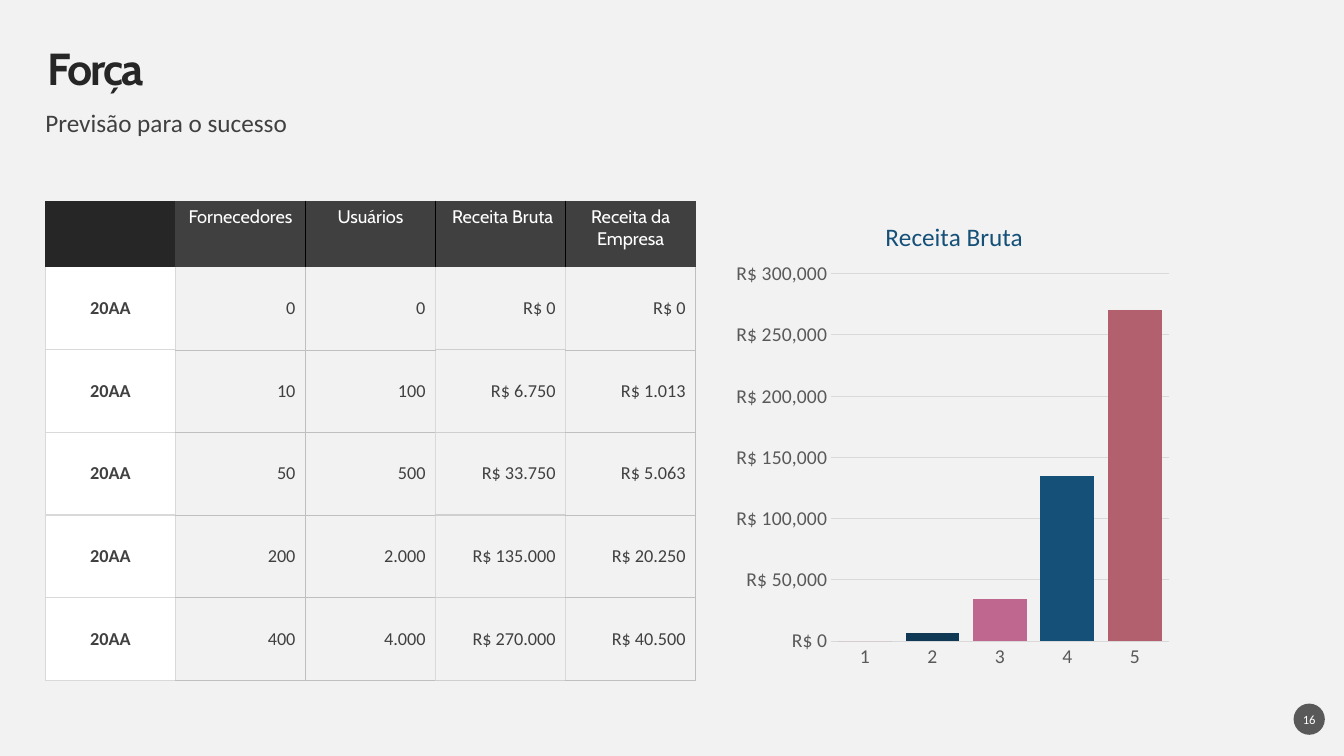
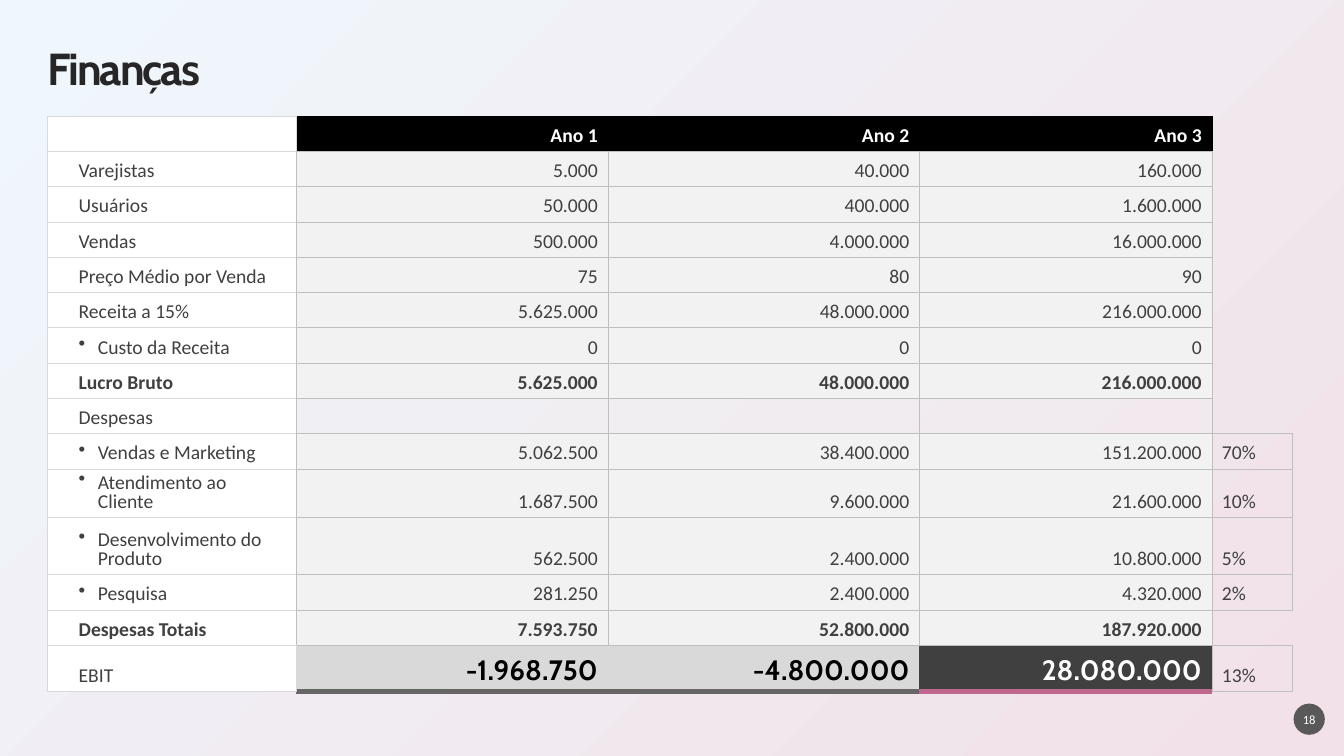
from dataclasses import dataclass, field
from typing import NamedTuple

from lxml.etree import SubElement
from pptx import Presentation
from pptx.chart.data import CategoryChartData
from pptx.dml.color import RGBColor
from pptx.enum.chart import XL_CHART_TYPE, XL_TICK_MARK
from pptx.enum.shapes import MSO_SHAPE
from pptx.enum.text import MSO_ANCHOR, MSO_AUTO_SIZE, PP_ALIGN
from pptx.oxml import parse_xml
from pptx.oxml.ns import nsdecls, qn
from pptx.util import Inches, Pt

COLORS = {
    "white": "FFFFFF", "black": "000000", "paper": "F2F2F2", "ink": "262626",
    "text": "404040", "badge": "595959", "rule": "BFBFBF", "light": "D9D9D9",
    "warm": "D0CECE", "total": "666666", "pink": "BF678E", "blue": "155078",
    "navy": "0F3955", "rose": "B2606E", "sky": "EFF7FC", "blush": "F2E1E8",
}
HEADING_FONT = "Cabin"
BODY_FONT = "Calibri"
NO_TABLE_STYLE = "{2D5ABB26-0587-4C30-8999-92F81FD0307C}"


class Border(NamedTuple):
    color: str
    width: float


class FinanceRow(NamedTuple):
    label: str
    values: tuple[str, ...]
    share: str = ""
    bullet: bool = False
    bold: bool = False


@dataclass
class Cell:
    text: str = ""
    fill: str | None = None
    opacity: int = 100
    color: str = "text"
    font: str = BODY_FONT
    size: int = 14
    bold: bool = False
    align: PP_ALIGN = PP_ALIGN.LEFT
    anchor: MSO_ANCHOR = MSO_ANCHOR.BOTTOM
    spacing: float = 0.8
    margin_left: float = 0.1
    bullet: bool = False
    borders: dict[str, Border] = field(default_factory=dict)


FORECAST = [
    ("20AA", "0", "0", "R$ 0", "R$ 0"),
    ("20AA", "10", "100", "R$ 6.750", "R$ 1.013"),
    ("20AA", "50", "500", "R$ 33.750", "R$ 5.063"),
    ("20AA", "200", "2.000", "R$ 135.000", "R$ 20.250"),
    ("20AA", "400", "4.000", "R$ 270.000", "R$ 40.500"),
]
FORECAST_HEADER = ("", "Fornecedores", "Usuários", " Receita Bruta", "Receita da Empresa")
FINANCES = [
    FinanceRow("Varejistas", ("5.000", "40.000", "160.000")),
    FinanceRow("Usuários", ("50.000", "400.000", "1.600.000")),
    FinanceRow("Vendas", ("500.000", "4.000.000", "16.000.000")),
    FinanceRow("Preço Médio por Venda", ("75", "80", "90")),
    FinanceRow("Receita a 15%", ("5.625.000", "48.000.000", "216.000.000")),
    FinanceRow("Custo da Receita", ("0", "0", "0"), bullet=True),
    FinanceRow("Lucro Bruto", ("5.625.000", "48.000.000", "216.000.000"), bold=True),
    FinanceRow("Despesas", ("", "", "")),
    FinanceRow("Vendas e Marketing", ("5.062.500", "38.400.000", "151.200.000"), "70%", True),
    FinanceRow("Atendimento ao Cliente", ("1.687.500", "9.600.000", "21.600.000"), "10%", True),
    FinanceRow("Desenvolvimento do Produto", ("562.500", "2.400.000", "10.800.000"), "5%", True),
    FinanceRow("Pesquisa", ("281.250", "2.400.000", "4.320.000"), "2%", True),
    FinanceRow("Despesas Totais", ("7.593.750", "52.800.000", "187.920.000"), bold=True),
]
EBIT = FinanceRow("EBIT", ("-1.968.750", "-4.800.000", "28.080.000"), "13%")


def rgb(name: str) -> RGBColor:
    return RGBColor.from_string(COLORS[name])


def set_font(font, name: str, size: float, color: str, bold: bool = False) -> None:
    font.name = name
    font.size = Pt(size)
    font.bold = bold
    font.color.rgb = rgb(color)


def clear_margins(frame) -> None:
    frame.margin_left = frame.margin_right = frame.margin_top = frame.margin_bottom = 0


def sides(left=None, right=None, top=None, bottom=None) -> dict[str, Border]:
    named = {"L": left, "R": right, "T": top, "B": bottom}
    return {side: border for side, border in named.items() if border}


def box(border: Border) -> dict[str, Border]:
    return sides(border, border, border, border)


def add_slide(presentation, title: str, number: int):
    slide = presentation.slides.add_slide(presentation.slide_layouts[5])
    shape = slide.shapes.title
    shape.left, shape.top = Inches(0.47), Inches(0.47)
    shape.width, shape.height = Inches(12.39), Inches(0.47)
    frame = shape.text_frame
    frame.text = title
    frame.auto_size = MSO_AUTO_SIZE.NONE
    frame.vertical_anchor = MSO_ANCHOR.MIDDLE
    clear_margins(frame)
    paragraph = frame.paragraphs[0]
    paragraph.alignment = PP_ALIGN.LEFT
    paragraph.line_spacing = 0.9
    set_font(paragraph.font, HEADING_FONT, 32, "ink", True)
    paragraph._p.pPr.find(qn("a:defRPr")).set("spc", "-150")
    add_badge(slide, number)
    return slide


def add_badge(slide, number: int) -> None:
    badge = slide.shapes.add_shape(
        MSO_SHAPE.OVAL, Inches(12.83), Inches(6.98), Inches(0.31), Inches(0.31))
    badge.shadow.inherit = False
    badge.fill.solid()
    badge.fill.fore_color.rgb = rgb("badge")
    badge.line.fill.background()
    frame = badge.text_frame
    frame.text = str(number)
    frame.word_wrap = False
    frame.vertical_anchor = MSO_ANCHOR.MIDDLE
    clear_margins(frame)
    frame.paragraphs[0].alignment = PP_ALIGN.CENTER
    set_font(frame.paragraphs[0].font, BODY_FONT, 9, "white")


def add_subtitle(slide, text: str) -> None:
    frame = slide.shapes.add_textbox(
        Inches(0.45), Inches(1.1), Inches(11.09), Inches(0.28)).text_frame
    frame.text = text
    frame.word_wrap = True
    clear_margins(frame)
    frame.paragraphs[0].line_spacing = 0.9
    set_font(frame.paragraphs[0].font, BODY_FONT, 18, "text")


def draw_borders(cell, borders: dict[str, Border]) -> None:
    properties = cell._tc.get_or_add_tcPr()
    for position, side in enumerate("LRTB"):
        border = borders.get(side)
        width = Pt(border.width) if border else 0
        paint = (f'<a:solidFill><a:srgbClr val="{COLORS[border.color]}"/></a:solidFill>'
                 if border else "<a:noFill/>")
        line = parse_xml(f'<a:ln{side} {nsdecls("a")} w="{width}">{paint}</a:ln{side}>')
        properties.insert(position, line)


def draw_cell(cell, content: Cell) -> None:
    cell.vertical_anchor = content.anchor
    cell.margin_left = Inches(content.margin_left)
    if content.fill:
        cell.fill.solid()
        cell.fill.fore_color.rgb = rgb(content.fill)
        if content.opacity < 100:
            color = cell._tc.tcPr.find(".//" + qn("a:srgbClr"))
            SubElement(color, qn("a:alpha")).set("val", str(content.opacity * 1000))
    else:
        cell.fill.background()
    draw_borders(cell, content.borders)
    cell.text = content.text
    paragraph = cell.text_frame.paragraphs[0]
    paragraph.alignment = content.align
    paragraph.line_spacing = content.spacing
    set_font(paragraph.font, content.font, content.size, content.color, content.bold)
    if not content.text:
        SubElement(paragraph._p, qn("a:endParaRPr")).set("sz", str(content.size * 100))
    if content.bullet:
        properties = paragraph._p.pPr
        properties.set("marL", str(Inches(0.19)))
        properties.set("indent", str(Inches(-0.19)))
        bullet = parse_xml(f'<a:buChar {nsdecls("a")} char="•"/>')
        properties.find(qn("a:defRPr")).addprevious(bullet)


def add_table(slide, left: float, top: float, widths: list[float],
              heights: list[float], rows: list[list[Cell]]) -> None:
    table = slide.shapes.add_table(
        len(heights), len(widths), Inches(left), Inches(top),
        Inches(sum(widths)), Inches(sum(heights))).table
    table.first_row = table.horz_banding = False
    table._tbl.tblPr.find(qn("a:tableStyleId")).text = NO_TABLE_STYLE
    for column, width in zip(table.columns, widths):
        column.width = Inches(width)
    for row, height in zip(table.rows, heights):
        row.height = Inches(height)
    for row_index, row in enumerate(rows):
        for column_index, content in enumerate(row):
            draw_cell(table.cell(row_index, column_index), content)


def forecast_rows() -> list[list[Cell]]:
    thin, light = Border("rule", 0.25), Border("light", 1)
    warm, black = Border("warm", 1), Border("black", 1)
    last = len(FORECAST_HEADER) - 1
    header = [
        Cell(text, "text" if column else "ink", color="white", font=HEADING_FONT, size=13,
             align=PP_ALIGN.CENTER, anchor=MSO_ANCHOR.TOP, spacing=1.0,
             borders=sides(left=black if column > 1 else None,
                           right=black if 0 < column < last else None))
        for column, text in enumerate(FORECAST_HEADER)]
    column_borders = [box(light), sides(light, thin, thin, thin), sides(thin, light, thin, thin),
                      sides(light, light, warm, warm), sides(light, thin, thin, thin)]
    fills = ["white", None, None, "paper", None]
    rows = [header]
    for index, values in enumerate(FORECAST):
        rows.append([
            Cell(text, fills[column], size=13, bold=column == 0,
                 align=PP_ALIGN.RIGHT if column else PP_ALIGN.CENTER,
                 anchor=MSO_ANCHOR.MIDDLE, spacing=1.0,
                 borders={side: border for side, border in column_borders[column].items()
                          if index or side != "T"})
            for column, text in enumerate(values)])
    return rows


def finance_rows() -> list[list[Cell]]:
    thin, light, black = (Border(name, 0.25) for name in ("rule", "light", "black"))
    rows = [[Cell(fill="white", borders=box(light))]
            + [Cell(f"Ano {year}", "black", color="white", bold=True, align=PP_ALIGN.RIGHT,
                    borders=sides(light if year == 1 else black, black, black, thin))
               for year in (1, 2, 3)]
            + [Cell(borders=sides(left=black))]]
    for row in [*FINANCES, EBIT]:
        label = Cell(row.label, "white", bold=row.bold, margin_left=0.31, bullet=row.bullet,
                     borders=sides(light, light if row is EBIT else thin, light, light))
        if row is EBIT:
            values = [
                Cell(text, "text" if column == 2 else "light", font=HEADING_FONT, size=20,
                     color="white" if column == 2 else "black", bold=True,
                     align=PP_ALIGN.RIGHT,
                     borders=sides(light if column == 0 else None,
                                   thin if column == 2 else None, thin,
                                   Border("pink" if column == 2 else "total", 4.5)))
                for column, text in enumerate(row.values)]
        else:
            values = [Cell(text, "paper", 100 if text else 36, bold=row.bold,
                           align=PP_ALIGN.RIGHT, borders=box(thin)) for text in row.values]
        share = Cell(row.share, borders=box(thin) if row.share else sides(left=thin))
        rows.append([label, *values, share])
    return rows


def place(parent, position: int, **fractions: float) -> None:
    layout = parent.find(qn("c:layout"))
    if layout is not None:
        parent.remove(layout)
    modes = '<c:xMode val="edge"/><c:yMode val="edge"/>'
    target = '<c:layoutTarget val="inner"/>' if "w" in fractions else ""
    values = "".join(f'<c:{name} val="{value}"/>' for name, value in fractions.items())
    parent.insert(position, parse_xml(
        f'<c:layout {nsdecls("c")}><c:manualLayout>{target}{modes}{values}'
        "</c:manualLayout></c:layout>"))


def add_revenue_chart(slide) -> None:
    data = CategoryChartData()
    data.categories = ["1", "2", "3", "4", "5"]
    data.add_series("Series 1", (0, 7000, 34000, 135000, 270000))
    chart = slide.shapes.add_chart(
        XL_CHART_TYPE.COLUMN_CLUSTERED, Inches(7.22), Inches(1.89),
        Inches(4.46), Inches(4.86), data).chart
    chart.has_legend = False
    set_font(chart.font, BODY_FONT, 10, "black")
    chart.has_title = True
    chart.chart_title.text_frame.text = "Receita Bruta"
    set_font(chart.chart_title.text_frame.paragraphs[0].font, BODY_FONT, 18, "blue")
    for axis in (chart.category_axis, chart.value_axis):
        axis.major_tick_mark = axis.minor_tick_mark = XL_TICK_MARK.NONE
        set_font(axis.tick_labels.font, BODY_FONT, 14, "badge")
    value_axis = chart.value_axis
    value_axis.minimum_scale, value_axis.maximum_scale = 0, 300000
    value_axis.major_unit = 50000
    value_axis.tick_labels.number_format = '"R$"\\ #,##0'
    value_axis.tick_labels.number_format_is_linked = False
    value_axis.format.line.fill.background()
    for line in (chart.category_axis.format.line, value_axis.major_gridlines.format.line):
        line.color.rgb = rgb("light")
        line.width = Pt(0.75)
    plot = chart.plots[0]
    plot.gap_width = 25
    plot.vary_by_categories = False
    series = plot.series[0]
    series.format.fill.solid()
    series.format.fill.fore_color.rgb = rgb("pink")
    for index, color in {1: "navy", 3: "blue", 4: "rose"}.items():
        fill = series.points[index].format.fill
        fill.solid()
        fill.fore_color.rgb = rgb(color)
    chart_element = chart._chartSpace.find(qn("c:chart"))
    place(chart_element.find(qn("c:title")), 1, x=0.34, y=0.05)
    place(chart_element.find(qn("c:plotArea")), 0, x=0.23, y=0.17, w=0.75, h=0.75)


def build_strength(presentation) -> None:
    slide = add_slide(presentation, "Força", 16)
    slide.background.fill.solid()
    slide.background.fill.fore_color.rgb = rgb("paper")
    add_subtitle(slide, "Previsão para o sucesso")
    add_table(slide, 0.45, 1.99, [1.29] * 5, [0.66] + [0.82] * 5, forecast_rows())
    add_revenue_chart(slide)


def build_finances(presentation) -> None:
    slide = add_slide(presentation, "Finanças", 18)
    fill = slide.background.fill
    fill.gradient()
    fill.gradient_angle = 315
    for stop, color in zip(fill.gradient_stops, ("sky", "blush")):
        stop.color.rgb = rgb(color)
    heights = [0.35] * 11 + [0.57] + [0.35] * 2 + [0.46]
    add_table(slide, 0.47, 1.15, [2.47, 3.09, 3.09, 2.9, 0.8], heights, finance_rows())


def main() -> None:
    presentation = Presentation()
    presentation.slide_width, presentation.slide_height = Inches(13.33), Inches(7.5)
    build_strength(presentation)
    build_finances(presentation)
    presentation.save("out.pptx")


if __name__ == "__main__":
    main()
